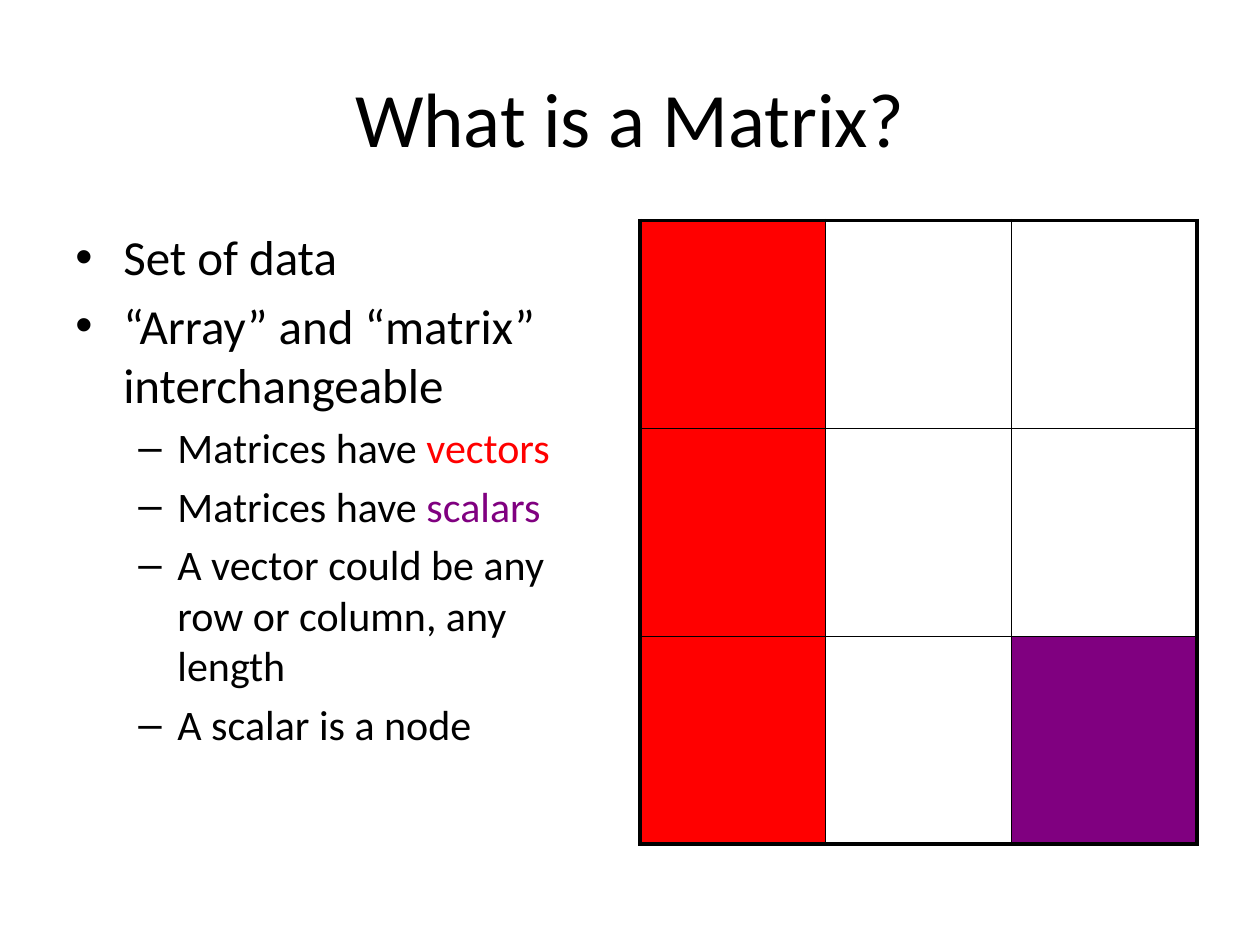
"""Build the "What is a Matrix?" slide with a bullet list and a 3 by 3 matrix."""
from lxml.etree import SubElement
from pptx import Presentation
from pptx.dml.color import RGBColor
from pptx.enum.text import MSO_ANCHOR, PP_ALIGN
from pptx.oxml import parse_xml
from pptx.oxml.ns import nsdecls, qn
from pptx.util import Inches, Pt

BLACK, WHITE, RED, PURPLE = "000000", "FFFFFF", "FF0000", "800080"
FONT = "Calibri"
TITLE = "What is a Matrix?"
BULLETS = [
    (0, [("Set of data", BLACK)]),
    (0, [("“Array” and “matrix” interchangeable", BLACK)]),
    (1, [("Matrices have ", BLACK), ("vectors", RED)]),
    (1, [("Matrices have ", BLACK), ("scalars", PURPLE)]),
    (1, [("A vector could be any row or column, any length", BLACK)]),
    (1, [("A scalar is a node", BLACK)]),
]
LEVELS = [
    {"size": 28, "bullet": "•", "left": 0.38, "hang": 0.38},
    {"size": 24, "bullet": "–", "left": 0.81, "hang": 0.31},
]
MATRIX = [
    [RED, None, None],
    [RED, None, None],
    [RED, None, PURPLE],
]
TOP, WIDTH, HEIGHT = 1.75, 4.42, 4.95
LEFT_COLUMN, RIGHT_COLUMN = 0.5, 5.08
OUTER, INNER = 2.25, 1


def rgb(color):
    return RGBColor.from_string(color)


def add_box(s, left, top, width, height, anchor=MSO_ANCHOR.TOP):
    box = s.shapes.add_textbox(Inches(left), Inches(top), Inches(width), Inches(height))
    tf = box.text_frame
    tf.word_wrap = True
    tf.vertical_anchor = anchor
    return tf


def add_run(p, text, size=28, color=BLACK):
    r = p.add_run()
    r.text = text
    r.font.name = FONT
    r.font.size = Pt(size)
    r.font.color.rgb = rgb(color)


def set_bullet(p, bullet, left, hang):
    pPr = p._p.get_or_add_pPr()
    pPr.set("marL", str(Inches(left)))
    pPr.set("indent", str(-Inches(hang)))
    SubElement(pPr, qn("a:buFont"), typeface="Arial")
    SubElement(pPr, qn("a:buChar"), char=bullet)


def set_borders(cell, widths):
    tcPr = cell._tc.get_or_add_tcPr()
    for i, (side, width) in enumerate(widths.items()):
        tcPr.insert(i, parse_xml(
            f'<a:ln{side} {nsdecls("a")} w="{Pt(width)}"><a:solidFill>'
            f'<a:srgbClr val="{BLACK}"/></a:solidFill></a:ln{side}>'))


def add_bullets(s):
    tf = add_box(s, LEFT_COLUMN, TOP, WIDTH, HEIGHT)
    for i, (level, runs) in enumerate(BULLETS):
        style = LEVELS[level]
        p = tf.add_paragraph() if i else tf.paragraphs[0]
        p.level = level
        p.space_before = Pt(style["size"] * 0.2)
        set_bullet(p, style["bullet"], style["left"], style["hang"])
        for text, color in runs:
            add_run(p, text, size=style["size"], color=color)


def add_matrix(s):
    n = len(MATRIX)
    table = s.shapes.add_table(n, n, Inches(RIGHT_COLUMN), Inches(TOP),
                               Inches(WIDTH), Inches(HEIGHT)).table
    table.first_row = table.horz_banding = False
    for row, colors in enumerate(MATRIX):
        for col, color in enumerate(colors):
            cell = table.cell(row, col)
            if color:
                cell.fill.solid()
                cell.fill.fore_color.rgb = rgb(color)
            else:
                cell.fill.background()
            edges = {"L": col == 0, "R": col == n - 1, "T": row == 0, "B": row == n - 1}
            set_borders(cell, {side: OUTER if edge else INNER for side, edge in edges.items()})


def main():
    prs = Presentation()
    prs.slide_width, prs.slide_height = Inches(10), Inches(7.5)
    s = prs.slides.add_slide(prs.slide_layouts[6])
    s.background.fill.solid()
    s.background.fill.fore_color.rgb = rgb(WHITE)
    p = add_box(s, 0.5, 0.3, 9, 1.25, anchor=MSO_ANCHOR.MIDDLE).paragraphs[0]
    p.alignment = PP_ALIGN.CENTER
    add_run(p, TITLE, size=44)
    add_bullets(s)
    add_matrix(s)
    prs.save("out.pptx")


if __name__ == "__main__":
    main()
